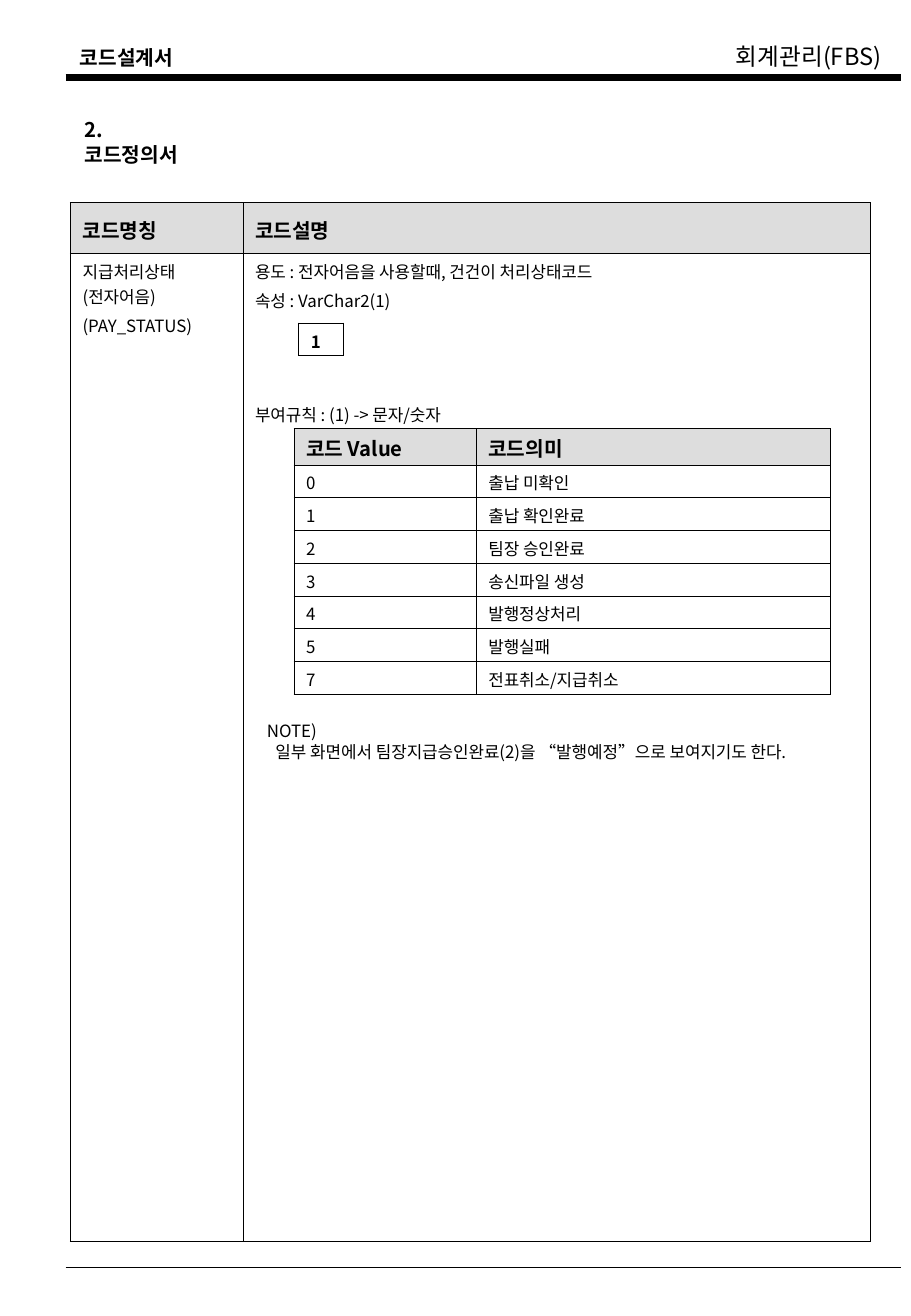
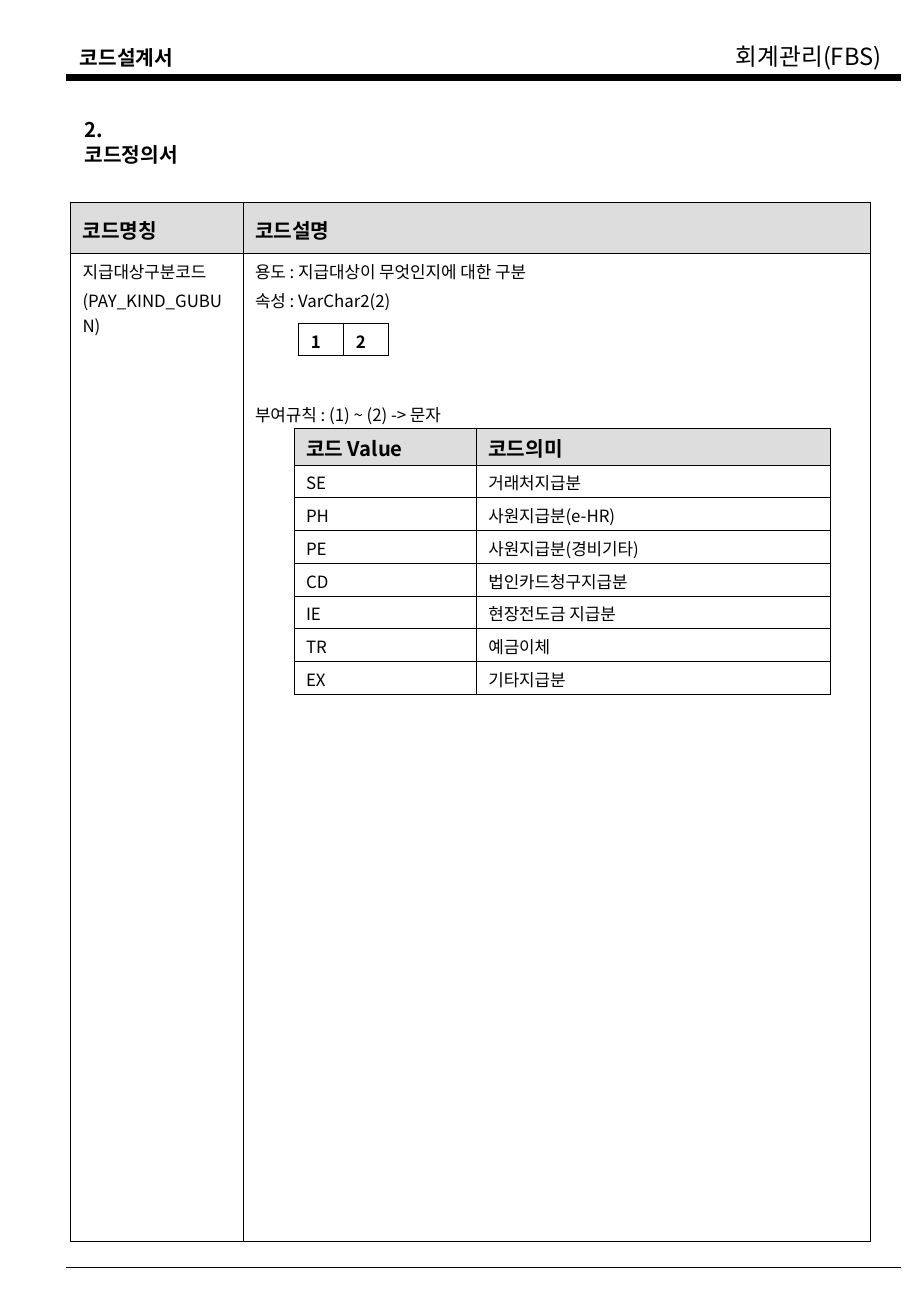
"""Build the two code definition sheets of the accounting design document."""
from lxml import etree
from pptx import Presentation
from pptx.dml.color import RGBColor
from pptx.enum.shapes import MSO_CONNECTOR
from pptx.enum.text import MSO_ANCHOR
from pptx.oxml.ns import qn
from pptx.util import Inches, Pt

STRAIGHT = MSO_CONNECTOR.STRAIGHT
TOP, MIDDLE = MSO_ANCHOR.TOP, MSO_ANCHOR.MIDDLE

FONT = "Noto Sans CJK KR"
BLACK, GREY = "000000", "DDDDDD"
WIDTH, HEIGHT = 7.5, 10.84
RULE_LEFT, RULE_RIGHT = 0.54, 7.42
RULES = [(0.64, 4.5), (10.44, 1)]
HEADINGS = [
    ("코드설계서", (0.56, 0.32, 1.5, 0.3), 12, True),
    ("회계관리(FBS)", (5.96, 0.3, 1.5, 0.34), 14, False),
    ("2. 코드정의서", (0.6, 0.92, 1.1, 0.5), 12, True),
]
SHEET_HEAD = ["코드명칭", "코드설명"]
VALUE_HEAD = ["코드 Value", "코드의미"]
OUTER, INNER, HAIR = 0.75, 0.45, 0.34
RULE_GAP = 52.5

SHEETS = [
    {
        "name": ["지급처리상태(전자어음)", "(PAY_STATUS)"],
        "about": ["용도 : 전자어음을 사용할때, 건건이 처리상태코드",
                  "속성 : VarChar2(1)",
                  "부여규칙 : (1) -> 문자/숫자"],
        "digits": ["1"],
        "values": [("0", "출납 미확인"), ("1", "출납 확인완료"),
                   ("2", "팀장 승인완료"), ("3", "송신파일 생성"),
                   ("4", "발행정상처리"), ("5", "발행실패"),
                   ("7", "전표취소/지급취소")],
        "note": ["NOTE)",
                 "일부 화면에서 팀장지급승인완료(2)을 “발행예정”으로 보여지기도 한다."],
    },
    {
        "name": ["지급대상구분코드", "(PAY_KIND_GUBUN)"],
        "about": ["용도 : 지급대상이 무엇인지에 대한 구분",
                  "속성 : VarChar2(2)",
                  "부여규칙 : (1) ~ (2) -> 문자"],
        "digits": ["1", "2"],
        "values": [("SE", "거래처지급분"), ("PH", "사원지급분(e-HR)"),
                   ("PE", "사원지급분(경비기타)"), ("CD", "법인카드청구지급분"),
                   ("IE", "현장전도금 지급분"), ("TR", "예금이체"),
                   ("EX", "기타지급분")],
        "note": [],
    },
]


def rgb(color):
    return RGBColor.from_string(color)


def write(tf, lines, size, bold=False, leading=1.2, gaps=()):
    tf.text = "\n".join(lines)
    for i, p in enumerate(tf.paragraphs):
        p.line_spacing = Pt(size * leading)
        if i and gaps:
            p.space_before = Pt(gaps[i - 1])
        for r in p.runs:
            r.font.name, r.font.size, r.font.bold = FONT, Pt(size), bold
            r.font.color.rgb = rgb(BLACK)
            etree.SubElement(r.font._element, qn("a:ea"), typeface=FONT)


def add_text(slide, lines, box, size, bold=False):
    tf = slide.shapes.add_textbox(*map(Inches, box)).text_frame
    tf.word_wrap = True
    write(tf, lines, size, bold)
    return tf


def add_rule(slide, y, weight):
    ln = slide.shapes.add_connector(STRAIGHT, Inches(RULE_LEFT), Inches(y),
                                    Inches(RULE_RIGHT), Inches(y))
    ln.line.color.rgb, ln.line.width = rgb(BLACK), Pt(weight)
    etree.SubElement(ln._element.spPr, qn("a:effectLst"))


def set_borders(cell, widths):
    tc_pr = cell._tc.get_or_add_tcPr()
    for i, (side, width) in enumerate(zip("LRTB", widths)):
        ln = etree.Element(qn(f"a:ln{side}"), w=str(Pt(width)))
        fill = etree.SubElement(ln, qn("a:solidFill"))
        etree.SubElement(fill, qn("a:srgbClr"), val=BLACK)
        tc_pr.insert(i, ln)


def add_grid(slide, left, top, cols, rows, edge, row_line):
    frame = slide.shapes.add_table(len(rows), len(cols), Inches(left), Inches(top),
                                   Inches(sum(cols)), Inches(sum(rows)))
    table = frame.table
    table.first_row = table.horz_banding = False
    for col, width in zip(table.columns, cols):
        col.width = Inches(width)
    for row, height in zip(table.rows, rows):
        row.height = Inches(height)
    last_row, last_col = len(rows) - 1, len(cols) - 1
    for i in range(len(rows)):
        for j in range(len(cols)):
            set_borders(table.cell(i, j), (
                INNER if j else edge,
                INNER if j < last_col else edge,
                edge if i == 0 else INNER if i == 1 else row_line,
                edge if i == last_row else INNER if i == 0 else row_line))
    return table


def fill_cell(cell, lines, size=10, bold=False, color=None, anchor=MIDDLE,
              insets=(0.08, 0.02), **style):
    cell.margin_top, cell.margin_bottom = map(Inches, insets)
    cell.margin_left = cell.margin_right = Inches(0.1)
    cell.vertical_anchor = anchor
    if color:
        cell.fill.solid()
        cell.fill.fore_color.rgb = rgb(color)
    else:
        cell.fill.background()
    write(cell.text_frame, lines, size, bold, **style)


def fill_head(table, labels):
    for j, label in enumerate(labels):
        fill_cell(table.cell(0, j), [label], 12, True, GREY)


def add_sheet(prs, sheet):
    slide = prs.slides.add_slide(prs.slide_layouts[6])
    for y, weight in RULES:
        add_rule(slide, y, weight)
    for text, box, size, bold in HEADINGS:
        add_text(slide, [text], box, size, bold)

    body = add_grid(slide, 0.58, 1.67, (1.42, 5.17), (0.42, 8.14), OUTER, INNER)
    fill_head(body, SHEET_HEAD)
    for j, key in enumerate(("name", "about")):
        fill_cell(body.cell(1, j), sheet[key], anchor=TOP, insets=(0.04, 0.05),
                  leading=1.48, gaps=(2.5, RULE_GAP))

    values = sheet["values"]
    codes = add_grid(slide, 2.42, 3.53, (1.5, 2.92),
                     [0.3] + [0.27] * len(values), INNER, HAIR)
    fill_head(codes, VALUE_HEAD)
    for i, pair in enumerate(values, 1):
        for j, text in enumerate(pair):
            fill_cell(codes.cell(i, j), [text], anchor=TOP)

    digits = sheet["digits"]
    boxes = add_grid(slide, 2.46, 2.66, [0.37] * len(digits), [0.27], INNER, INNER)
    for j, digit in enumerate(digits):
        fill_cell(boxes.cell(0, j), [digit], bold=True)

    if sheet["note"]:
        tf = add_text(slide, sheet["note"], (2.1, 5.89, 4.8, 0.44), 10)
        tf.paragraphs[1]._p.get_or_add_pPr().set("marL", str(Inches(0.07)))


def main():
    prs = Presentation()
    prs.slide_width, prs.slide_height = Inches(WIDTH), Inches(HEIGHT)
    for sheet in SHEETS:
        add_sheet(prs, sheet)
    prs.save("out.pptx")


if __name__ == "__main__":
    main()
